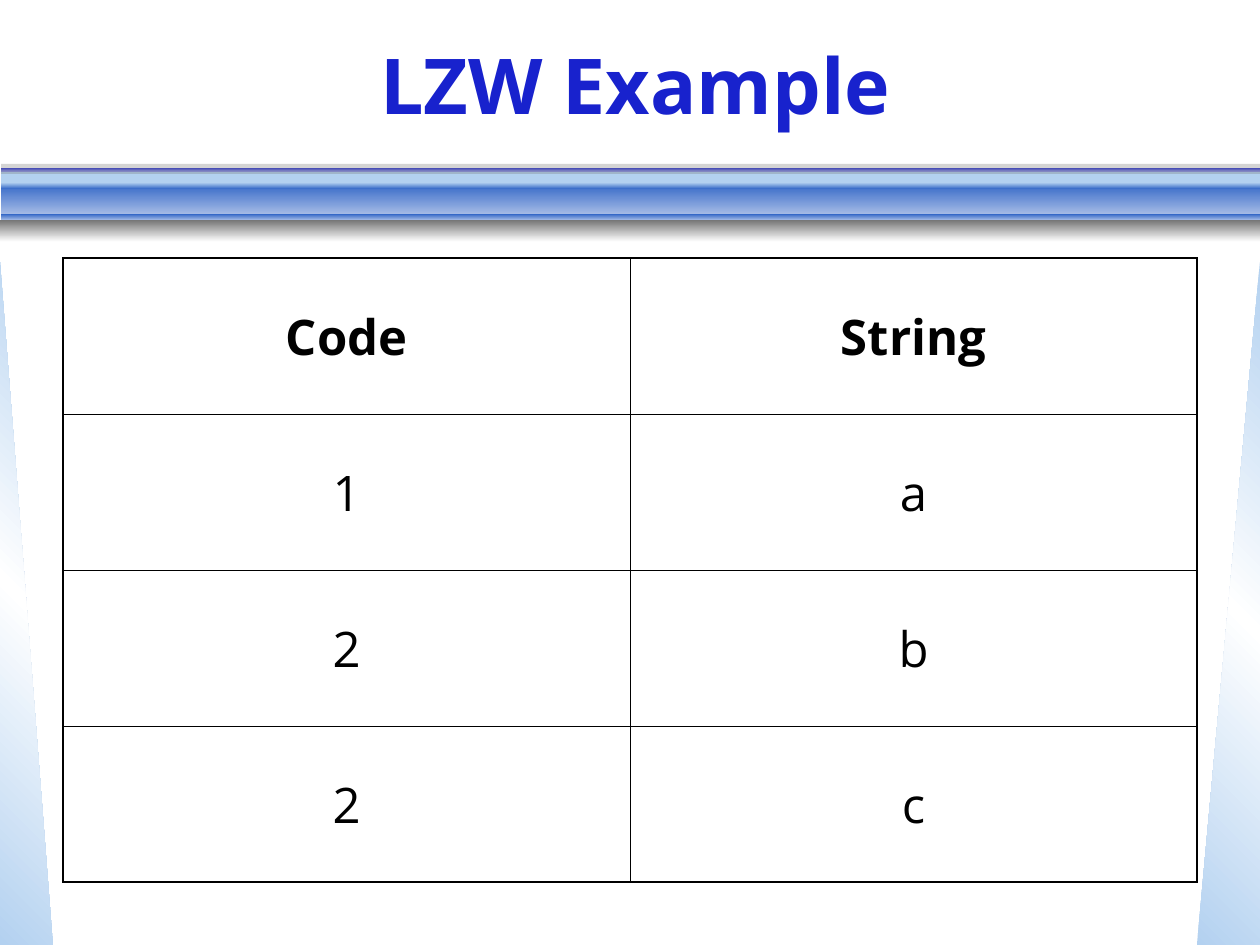
from lxml import etree
from pptx import Presentation, util as u
from pptx.dml.color import RGBColor
from pptx.enum import shapes, text
from pptx.oxml import ns

THEME = dict(
    font="Open Sans", title_size=44, cell_size=28,
    title="1822CD", ink="000000", white="FFFFFF", violet="878DE5",
    sky="B3D1F0", blue="3568C7", pale="A9BEE7", grey="777777",
    outer=1.08, inner=0.45,
)

prs = Presentation()
prs.slide_width, prs.slide_height = u.Inches(10), u.Inches(7.5)
s = prs.slides.add_slide(prs.slide_layouts[6])

# Grid of 100 columns by 75 rows
COL, ROW = prs.slide_width / 100, prs.slide_height / 75


def add_panel(kind, box, colours, angle=90, flip=None, alpha=None):
    """Add a borderless shape, filled plainly or with evenly spaced gradient stops."""
    x, y, w, h = box
    sp = s.shapes.add_shape(kind, int(x * COL), int(y * ROW), int(w * COL), int(h * ROW))
    sp.shadow.inherit = False
    sp.line.fill.background()
    if flip:
        sp._element.spPr.xfrm.set(flip, "1")
    if len(colours) == 1:
        sp.fill.solid()
        sp.fill.fore_color.rgb = RGBColor.from_string(THEME[colours[0]])
        if alpha:
            clr = sp._element.spPr.find(".//" + ns.qn("a:srgbClr"))
            etree.SubElement(clr, ns.qn("a:alpha"), val=str(alpha * 1000))
        return
    sp.fill.gradient()
    sp.fill.gradient_angle = 360 - angle
    stops = sp._element.spPr.find(".//" + ns.qn("a:gsLst"))
    stops.clear()
    for i, name in enumerate(colours):
        gs = etree.SubElement(stops, ns.qn("a:gs"), pos=str(100000 * i // (len(colours) - 1)))
        etree.SubElement(gs, ns.qn("a:srgbClr"), val=THEME[name])


def write(tf, words, size, colour, bold):
    """Write one centred run."""
    p = tf.paragraphs[0]
    p.alignment = text.PP_ALIGN.CENTER
    r = p.add_run()
    r.text = words
    r.font.name, r.font.size, r.font.bold = THEME["font"], u.Pt(THEME[size]), bold
    r.font.color.rgb = RGBColor.from_string(THEME[colour])


# Side wedges
wedge, glow = shapes.MSO_SHAPE.RIGHT_TRIANGLE, ("sky", "white", "sky")
add_panel(wedge, (0, 20.8, 4.2, 54.2), glow, 315)
add_panel(wedge, (95, 20.8, 5, 54.2), glow, 45, "flipH")

# Banner strips: top, height, colours, flip, opacity
for top, height, colours, flip, alpha in [
    (13.6, 1, ("sky",), "flipV", None),
    (14.6, 2.5, ("blue", "pale"), None, None),
    (13.3, 0.3, ("title", "violet"), None, None),
    (17, 0.5, ("pale", "blue"), "flipV", None),
    (14.5, 0.5, ("sky", "blue"), None, None),
    (17.5, 1.7, ("grey", "white"), None, None),
    (13, 0.8, ("grey",), None, 31),
]:
    left = 0 if "white" in colours else 0.1
    add_panel(shapes.MSO_SHAPE.RECTANGLE, (left, top, 100 - left, height),
              colours, flip=flip, alpha=alpha)

# Title
tf = s.shapes.add_textbox(int(1.7 * COL), int(0.8 * ROW), int(97.5 * COL), int(11.7 * ROW)).text_frame
tf.word_wrap = True
tf.vertical_anchor = text.MSO_ANCHOR.MIDDLE
write(tf, "LZW Example", "title_size", "title", True)

# Code table
rows = [("Code", "String"), ("1", "a"), ("2", "b"), ("2", "c")]
n_rows, n_cols = len(rows), len(rows[0])
table = s.shapes.add_table(n_rows, n_cols, int(5 * COL), int(20.5 * ROW),
                           int(90 * COL), int(49.5 * ROW)).table
table.first_row = table.horz_banding = False
for i, row in enumerate(rows):
    for j, words in enumerate(row):
        cell = table.cell(i, j)
        cell.vertical_anchor = text.MSO_ANCHOR.MIDDLE
        write(cell.text_frame, words, "cell_size", "ink", i == 0)

        # Heavy frame outside, thin rules inside
        tc_pr = cell._tc.get_or_add_tcPr()
        edges = {"L": j == 0, "R": j == n_cols - 1, "T": i == 0, "B": i == n_rows - 1}
        for side, is_outer in edges.items():
            width = u.Pt(THEME["outer" if is_outer else "inner"])
            ln = etree.SubElement(tc_pr, ns.qn("a:ln" + side), w=str(int(width)))
            fill = etree.SubElement(ln, ns.qn("a:solidFill"))
            etree.SubElement(fill, ns.qn("a:srgbClr"), val=THEME["ink"])
        cell.fill.background()

prs.save("out.pptx")
